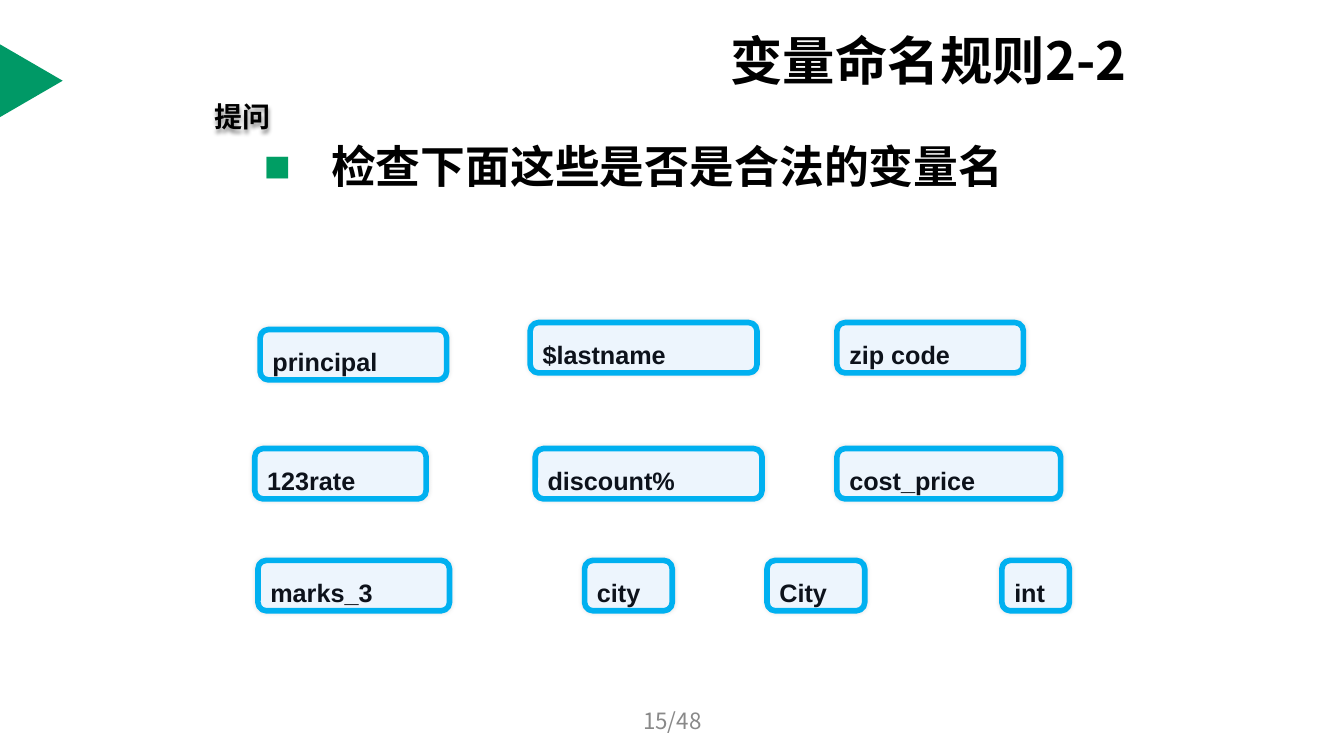
import pptx
import pptx.util
import pptx.dml.color
import pptx.enum.shapes
import pptx.enum.text
import pptx.oxml
import pptx.oxml.ns

Pt = pptx.util.Pt
ANCHOR = pptx.enum.text.MSO_ANCHOR
SHAPE = pptx.enum.shapes.MSO_SHAPE

# Content
TITLE = "变量命名规则2-2"
LABEL = "提问"
QUESTION = "检查下面这些是否是合法的变量名"
PAGE_NUMBER = "15/48"
# Each row: top, then (name, left, width)
NAME_ROWS = [
    (230.4, [("$lastname", 378.7, 162), ("zip code", 597.8, 133.2)]),
    (235.4, [("principal", 185.8, 133.2)]),
    (320.4, [("123rate", 182, 122.4), ("discount%", 382.3, 162),
             ("cost_price", 597.8, 159.8)]),
    (400.3, [("marks_3", 184.3, 136.8), ("city", 417.6, 62.6),
             ("City", 547.9, 69.8), ("int", 715.7, 48.2)]),
]
NAME_HEIGHT = 36
COLOURS = {
    "marker": "009966", "bullet": "009E64", "text": "000000",
    "name_fill": "EDF5FD", "name_line": "00B0F0", "name_text": "0D121B",
    "page_number": "898989", "shadow": "000000",
}
CJK_FONT = "Noto Sans CJK SC"


def colour(name):
    return pptx.dml.color.RGBColor.from_string(COLOURS[name])


def add_xml(parent, xml, position=None):
    namespace = pptx.oxml.ns.nsdecls("a")
    element = pptx.oxml.parse_xml(xml.replace(" ", f" {namespace} ", 1))
    parent.insert(len(parent) if position is None else position, element)


def set_shadow(shape, opacity, blur, distance):
    shape.shadow.inherit = False
    effects = shape._element.spPr.find(pptx.oxml.ns.qn("a:effectLst"))
    add_xml(effects, f'<a:outerShdw blurRad="{Pt(blur)}" dist="{Pt(distance)}" '
            f'dir="5400000" algn="ctr" rotWithShape="0">'
            f'<a:srgbClr val="{COLOURS["shadow"]}">'
            f'<a:alpha val="{opacity * 1000}"/></a:srgbClr></a:outerShdw>')


def write(shape, text, size, font_name, colour_name, bold=True):
    paragraph = shape.text_frame.paragraphs[0]
    paragraph.text = text
    paragraph.alignment = pptx.enum.text.PP_ALIGN.LEFT
    for run in paragraph.runs:
        run.font.size = Pt(size)
        run.font.bold = bold
        run.font.name = font_name
        run.font.color.rgb = colour(colour_name)
        add_xml(run.font._element, f'<a:ea typeface="{font_name}"/>')
    return paragraph


def add_text(slide, box, text, size, colour_name="text", bold=True,
             anchor=ANCHOR.TOP, wrap=True):
    shape = slide.shapes.add_textbox(*map(Pt, box))
    shape.text_frame.word_wrap = wrap
    shape.text_frame.vertical_anchor = anchor
    write(shape, text, size, CJK_FONT, colour_name, bold)
    return shape


def add_name(slide, text, left, top, width):
    shape = slide.shapes.add_shape(SHAPE.ROUNDED_RECTANGLE, Pt(left), Pt(top),
                                   Pt(width), Pt(NAME_HEIGHT))
    shape.fill.solid()
    shape.fill.fore_color.rgb = colour("name_fill")
    shape.line.color.rgb = colour("name_line")
    shape.line.width = Pt(4)
    set_shadow(shape, opacity=10, blur=3, distance=0)
    shape.text_frame.vertical_anchor = ANCHOR.TOP
    write(shape, text, 18, "Arial", "name_text").line_spacing = 1.3


def main():
    presentation = pptx.Presentation()
    presentation.slide_width, presentation.slide_height = Pt(960), Pt(540)
    slide = presentation.slides.add_slide(presentation.slide_layouts[6])

    # Green marker at the left edge
    marker = slide.shapes.add_shape(SHAPE.ISOSCELES_TRIANGLE, Pt(-3.6), Pt(35.3),
                                    Pt(52), Pt(44.8))
    marker.rotation = 90
    marker.shadow.inherit = False
    marker.fill.solid()
    marker.fill.fore_color.rgb = colour("marker")
    marker.line.fill.background()

    # Title
    add_text(slide, (514.8, 22.3, 311, 41), TITLE, 37.4,
             anchor=ANCHOR.MIDDLE, wrap=False)

    # Question with a square bullet
    question = add_text(slide, (181.4, 95.8, 602, 404.6), QUESTION, 32)
    properties = question.text_frame.paragraphs[0]._p.get_or_add_pPr()
    properties.set("marL", str(Pt(48)))
    properties.set("indent", str(Pt(-48)))
    bullet = [f'<a:buClr ><a:srgbClr val="{COLOURS["bullet"]}"/></a:buClr>',
              '<a:buFont typeface="Arial"/>', '<a:buChar char="■"/>']
    for position, xml in enumerate(bullet):
        add_xml(properties, xml, position)

    # Variable names
    for top, names in NAME_ROWS:
        for text, left, width in names:
            add_name(slide, text, left, top, width)

    # Label and page number
    label = add_text(slide, (146.2, 67.7, 54.7, 31.7), LABEL, 20, wrap=False)
    set_shadow(label, opacity=43, blur=3, distance=2)
    page_number = add_text(slide, (328.3, 500.4, 303.8, 28.8), PAGE_NUMBER, 16,
                           "page_number", bold=False, anchor=ANCHOR.MIDDLE)
    page_number.text_frame.paragraphs[0].alignment = pptx.enum.text.PP_ALIGN.CENTER

    presentation.save("out.pptx")


if __name__ == "__main__":
    main()
